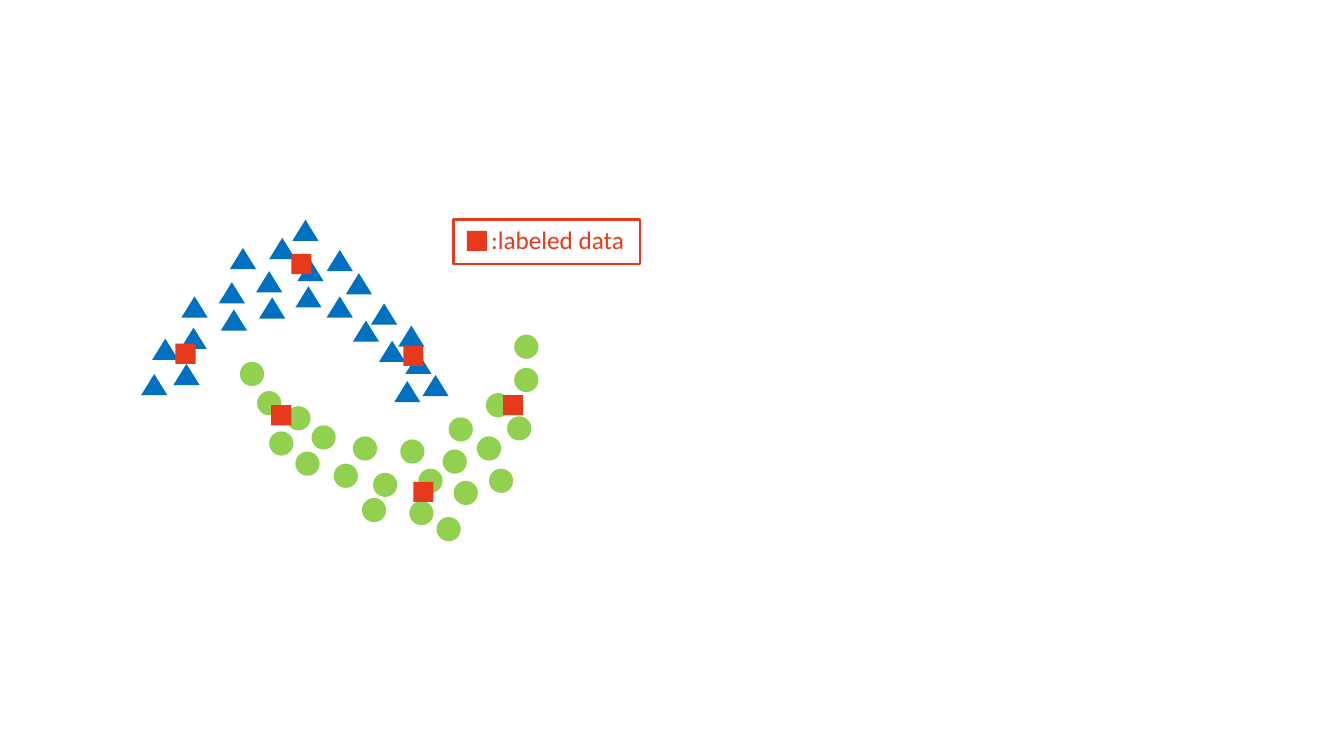
import pptx
import pptx.util
import pptx.dml.color
import pptx.enum.shapes
import pptx.enum.text

Inches = pptx.util.Inches
SHAPES = pptx.enum.shapes.MSO_SHAPE

LEGEND_TEXT = ":labeled data"

# Left and top of each marker, in inches
UPPER_MOON = [
    (1.8, 2.94), (1.79, 3.25), (2.19, 3.07), (2.17, 2.8), (2.54, 2.69), (2.93, 2.84),
    (1.51, 3.36), (1.72, 3.61), (2.57, 2.95), (2.95, 2.58), (3.24, 2.94), (3.5, 3.18),
    (3.43, 2.71), (3.68, 3.01), (3.76, 3.38), (1.4, 3.71), (3.95, 3.23), (4.02, 3.5),
    (3.91, 3.78), (4.19, 3.72), (2.28, 2.46), (2.67, 2.36), (3.24, 2.48), (2.9, 2.18),
]
LOWER_MOON = [
    (2.55, 3.88), (2.67, 4.28), (2.84, 4.03), (3.09, 4.22), (3.5, 4.33), (3.97, 4.36),
    (4.45, 4.14), (4.82, 3.9), (5.1, 3.65), (2.93, 4.48), (3.31, 4.6), (3.7, 4.69),
    (4.15, 4.65), (4.39, 4.46), (4.73, 4.33), (4.5, 4.77), (5.03, 4.13), (4.85, 4.65),
    (3.59, 4.94), (4.06, 4.97), (5.1, 3.32), (2.38, 3.59), (4.33, 5.13),
]
LABELED = [(2.89, 2.52), (1.74, 3.41), (4, 3.43), (2.69, 4.02), (4.1, 4.78), (4.99, 3.92)]
LEGEND_KEY = (4.63, 2.29)
LEGEND_TEXT_AREA = (4.76, 2.18, 1.54, 0.4)
LEGEND_FRAME = (4.5, 2.18, 1.85, 0.44)

THEME = {
    "upper": "0070C0",
    "lower": "92D050",
    "labeled": "E73A1C",
    "font": "Calibri",
    "legend_size": 18,
    "frame_width": 1.75,
}

# Preset shape, width, height, theme colour, places
MARKER_GROUPS = [
    (SHAPES.ISOSCELES_TRIANGLE, 0.26, 0.21, "upper", UPPER_MOON),
    (SHAPES.OVAL, 0.24, 0.24, "lower", LOWER_MOON),
    (SHAPES.RECTANGLE, 0.2, 0.2, "labeled", LABELED + [LEGEND_KEY]),
]


def color(name):
    return pptx.dml.color.RGBColor.from_string(THEME[name])


def add_preset(page, preset, area):
    shape = page.shapes.add_shape(preset, *map(Inches, area))
    shape.shadow.inherit = False
    return shape


def add_markers(page):
    for preset, width, height, color_name, places in MARKER_GROUPS:
        for left, top in places:
            marker = add_preset(page, preset, (left, top, width, height))
            marker.fill.solid()
            marker.fill.fore_color.rgb = color(color_name)
            marker.line.fill.background()


def add_legend(page):
    """Add the legend's wording and frame; its key is one of the markers."""
    box = page.shapes.add_textbox(*map(Inches, LEGEND_TEXT_AREA))
    box.text_frame.word_wrap = False
    box.text_frame.auto_size = pptx.enum.text.MSO_AUTO_SIZE.SHAPE_TO_FIT_TEXT
    para = box.text_frame.paragraphs[0]
    para.alignment = pptx.enum.text.PP_ALIGN.CENTER
    span = para.add_run()
    span.text = LEGEND_TEXT
    span.font.name = THEME["font"]
    span.font.size = pptx.util.Pt(THEME["legend_size"])
    span.font.color.rgb = color("labeled")

    frame = add_preset(page, SHAPES.RECTANGLE, LEGEND_FRAME)
    frame.fill.background()
    frame.line.color.rgb = color("labeled")
    frame.line.width = pptx.util.Pt(THEME["frame_width"])


def main():
    deck = pptx.Presentation()
    deck.slide_width, deck.slide_height = Inches(13.33), Inches(7.5)
    page = deck.slides.add_slide(deck.slide_layouts[6])
    add_markers(page)
    add_legend(page)
    deck.save("out.pptx")


if __name__ == "__main__":
    main()
